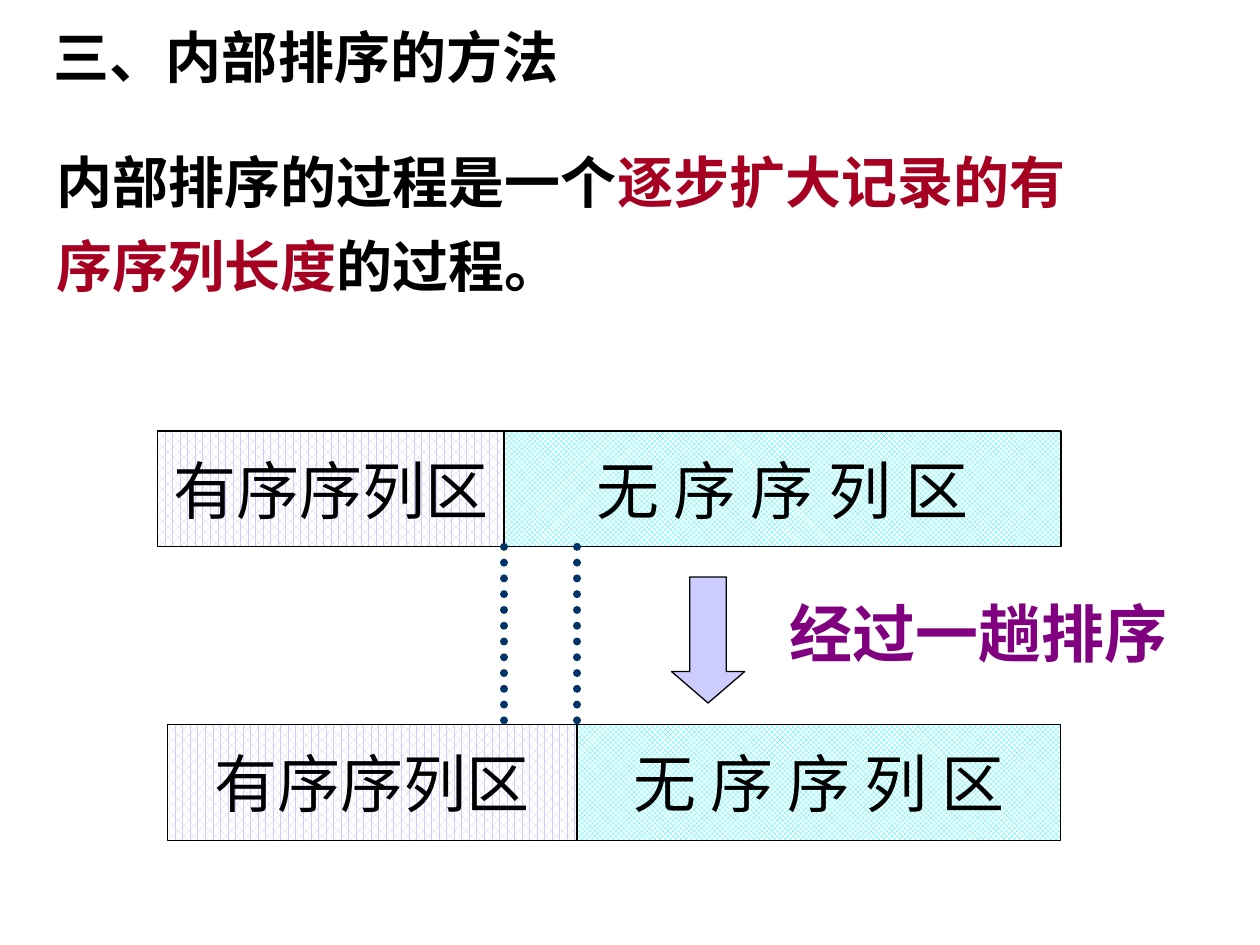
from lxml import etree
from pptx import Presentation
from pptx.dml.color import RGBColor
from pptx.enum.dml import MSO_LINE, MSO_PATTERN
from pptx.enum.shapes import MSO_CONNECTOR, MSO_SHAPE
from pptx.enum.text import MSO_ANCHOR, MSO_AUTO_SIZE, PP_ALIGN
from pptx.oxml.ns import qn
from pptx.util import Inches, Pt

BLACK = RGBColor(0x00, 0x00, 0x00)
WHITE = RGBColor(0xFF, 0xFF, 0xFF)
RED = RGBColor(0xA5, 0x00, 0x21)
PURPLE = RGBColor(0x80, 0x00, 0x80)
LAVENDER = RGBColor(0xCC, 0xCC, 0xFF)
CYAN = RGBColor(0x00, 0xFF, 0xFF)
NAVY = RGBColor(0x00, 0x33, 0x66)

RECTANGLE = MSO_SHAPE.RECTANGLE
DOWN_ARROW = MSO_SHAPE.DOWN_ARROW
STRAIGHT = MSO_CONNECTOR.STRAIGHT
DOTTED = MSO_LINE.ROUND_DOT
SORTED_PATTERN = MSO_PATTERN.PERCENT_60
UNSORTED_PATTERN = MSO_PATTERN.TRELLIS
CENTER = PP_ALIGN.CENTER
MIDDLE = MSO_ANCHOR.MIDDLE
FIT_SHAPE = MSO_AUTO_SIZE.SHAPE_TO_FIT_TEXT

FONT = "Times New Roman"
BAR_RIGHT = 8.42
BAR_HEIGHT = 0.92
BEFORE_TOP = 3.42
AFTER_TOP = 5.75
BEFORE_SPLIT = 4
AFTER_SPLIT = 4.58


def add_run(paragraph, text, size=32, color=BLACK, bold=True):
    run = paragraph.add_run()
    run.text = text
    run.font.name = FONT
    run.font.size = Pt(size)
    run.font.bold = bold
    run.font.color.rgb = color


class SlideBuilder:
    def __init__(self, slide):
        self.slide = slide

    def text(self, box, runs, size=32, wrap=True, line_spacing=None):
        shape = self.slide.shapes.add_textbox(*map(Inches, box))
        frame = shape.text_frame
        frame.word_wrap = wrap
        frame.auto_size = FIT_SHAPE
        paragraph = frame.paragraphs[0]
        paragraph.line_spacing = line_spacing
        for text, color in runs:
            add_run(paragraph, text, size=size, color=color)

    def outlined_shape(self, kind, box):
        shape = self.slide.shapes.add_shape(kind, *map(Inches, box))
        shape.shadow.inherit = False
        shape.line.color.rgb = BLACK
        shape.line.width = Pt(0.75)
        return shape

    def zone(self, left, right, top, text, pattern, color):
        shape = self.outlined_shape(
            RECTANGLE, (left, top, right - left, BAR_HEIGHT))
        shape.fill.patterned()
        shape.fill.pattern = pattern
        shape.fill.fore_color.rgb = color
        shape.fill.back_color.rgb = WHITE
        frame = shape.text_frame
        frame.word_wrap = False
        frame.vertical_anchor = MIDDLE
        paragraph = frame.paragraphs[0]
        paragraph.alignment = CENTER
        add_run(paragraph, text, size=36, bold=False)

    def bar(self, left, split, top):
        self.zone(left, split, top, "有序序列区", SORTED_PATTERN, LAVENDER)
        self.zone(split, BAR_RIGHT, top, "无 序 序 列 区", UNSORTED_PATTERN, CYAN)

    def down_arrow(self, box):
        shape = self.outlined_shape(DOWN_ARROW, box)
        shape.adjustments[0] = 0.5
        shape.adjustments[1] = 0.43
        shape.fill.solid()
        shape.fill.fore_color.rgb = LAVENDER

    def dotted_line(self, x, top, bottom):
        connector = self.slide.shapes.add_connector(
            STRAIGHT, Inches(x), Inches(top), Inches(x), Inches(bottom))
        connector.line.color.rgb = NAVY
        connector.line.width = Pt(4.5)
        connector.line.dash_style = DOTTED
        properties = connector.element.spPr
        properties.find(qn("a:ln")).set("cap", "rnd")
        etree.SubElement(properties, qn("a:effectLst"))


def main():
    presentation = Presentation()
    presentation.slide_width = Inches(10)
    presentation.slide_height = Inches(7.5)
    slide = presentation.slides.add_slide(presentation.slide_layouts[6])
    builder = SlideBuilder(slide)

    builder.text((0.33, 0.13, 4.22, 0.63), [("三、内部排序的方法", BLACK)], wrap=False)
    builder.text(
        (0.35, 0.99, 8.58, 1.43),
        [("内部排序的过程是一个", BLACK),
         ("逐步扩大记录的有序序列长度", RED),
         ("的过程。", BLACK)],
        line_spacing=1.25)
    builder.text((6.17, 4.67, 3.83, 0.7), [("经过一趟排序", PURPLE)], size=36)

    builder.bar(1.25, BEFORE_SPLIT, BEFORE_TOP)
    builder.bar(1.33, AFTER_SPLIT, AFTER_TOP)
    builder.down_arrow((5.33, 4.58, 0.58, 1))
    for x in (BEFORE_SPLIT, AFTER_SPLIT):
        builder.dotted_line(x, BEFORE_TOP + BAR_HEIGHT, AFTER_TOP)

    presentation.save("out.pptx")


if __name__ == "__main__":
    main()
